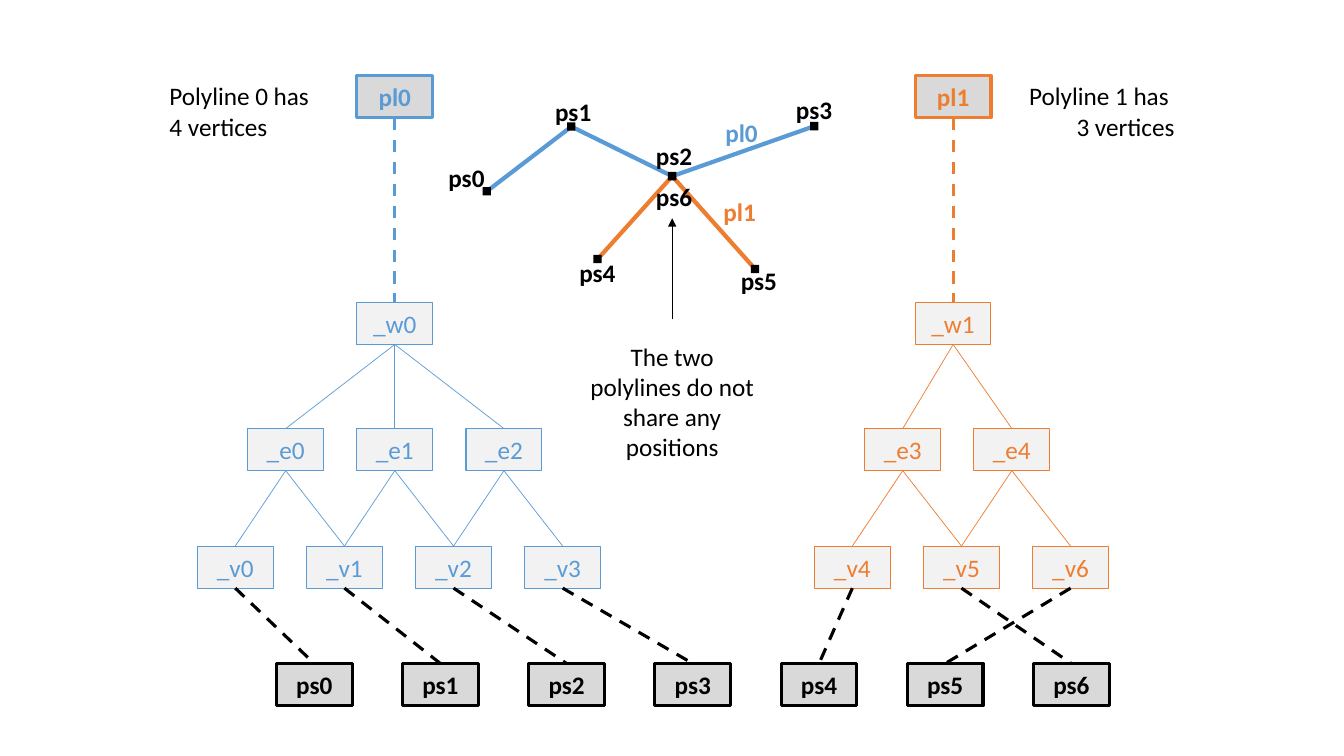
from dataclasses import dataclass

from lxml import etree
from pptx import Presentation
from pptx.dml.color import RGBColor
from pptx.enum.dml import MSO_LINE
from pptx.enum.shapes import MSO_CONNECTOR, MSO_SHAPE
from pptx.enum.text import MSO_ANCHOR, PP_ALIGN
from pptx.oxml.ns import qn
from pptx.util import Cm, Pt

RECTANGLE = MSO_SHAPE.RECTANGLE
STRAIGHT = MSO_CONNECTOR.STRAIGHT
DASH = MSO_LINE.DASH
MIDDLE = MSO_ANCHOR.MIDDLE
LEFT, CENTER, RIGHT = PP_ALIGN.LEFT, PP_ALIGN.CENTER, PP_ALIGN.RIGHT
TOP_SIDE, BOTTOM_SIDE = 0, 2


@dataclass(frozen=True)
class Theme:
    blue: RGBColor = RGBColor(0x5B, 0x9B, 0xD5)
    orange: RGBColor = RGBColor(0xED, 0x7D, 0x31)
    black: RGBColor = RGBColor(0, 0, 0)
    strong_fill: RGBColor = RGBColor(0xD9, 0xD9, 0xD9)
    light_fill: RGBColor = RGBColor(0xF2, 0xF2, 0xF2)
    font: str = "Calibri"
    size: Pt = Pt(18)
    polyline: Pt = Pt(3)
    strong: Pt = Pt(2.25)
    border: Pt = Pt(0.75)
    thin: Pt = Pt(0.5)


theme = Theme()

presentation = Presentation()
presentation.slide_width = Cm(33.87)
presentation.slide_height = Cm(19.05)
slide = presentation.slides.add_slide(presentation.slide_layouts[6])
shapes = slide.shapes


def write(shape, text, color, bold=False, align=LEFT, wrap=True):
    frame = shape.text_frame
    frame.text = text
    frame.word_wrap = wrap
    for paragraph in frame.paragraphs:
        paragraph.alignment = align
        for run in paragraph.runs:
            run.font.name = theme.font
            run.font.size = theme.size
            run.font.bold = bold
            run.font.color.rgb = color


def draw_line(start, end, color, width, dash=None):
    line = shapes.add_connector(STRAIGHT, Cm(start[0]), Cm(start[1]), Cm(end[0]), Cm(end[1]))
    line.line.color.rgb = color
    line.line.width = width
    if dash:
        line.line.dash_style = dash
    etree.SubElement(line._element.spPr, qn("a:effectLst"))
    return line


node_width, node_height = 1.91, 1.06
sibling_gap, position_gap = 2.75, 3.18
rows = [
    ("pl", 0, 1, 9.95, 1.91, theme.blue, True),
    ("pl", 1, 1, 24.02, 1.91, theme.orange, True),
    ("_w", 0, 1, 9.95, 7.62, theme.blue, False),
    ("_w", 1, 1, 24.02, 7.62, theme.orange, False),
    ("_e", 0, 3, 7.2, 10.8, theme.blue, False),
    ("_e", 3, 2, 22.75, 10.8, theme.orange, False),
    ("_v", 0, 4, 5.93, 13.76, theme.blue, False),
    ("_v", 4, 3, 21.48, 13.76, theme.orange, False),
    ("ps", 0, 7, 7.92, 16.72, theme.black, True),
]
nodes = {}
for prefix, first, count, first_center, top, color, strong in rows:
    gap = position_gap if prefix == "ps" else sibling_gap
    for index in range(count):
        left = first_center + index * gap - node_width / 2
        node = shapes.add_shape(RECTANGLE, Cm(left), Cm(top), Cm(node_width), Cm(node_height))
        node.shadow.inherit = False
        node.fill.solid()
        node.fill.fore_color.rgb = theme.strong_fill if strong else theme.light_fill
        node.line.color.rgb = color
        node.line.width = theme.strong if strong else theme.border
        node.text_frame.vertical_anchor = MIDDLE
        name = f"{prefix}{first + index}"
        write(node, name, color, strong, CENTER)
        nodes[name] = node

links = []
for wire, color, edges in [(0, theme.blue, range(3)), (1, theme.orange, range(3, 5))]:
    links.append((f"pl{wire}", f"_w{wire}", color, theme.strong, DASH))
    for edge in edges:
        links.append((f"_w{wire}", f"_e{edge}", color, theme.thin, None))
        for vertex in (edge + wire, edge + wire + 1):
            links.append((f"_e{edge}", f"_v{vertex}", color, theme.thin, None))
for vertex, position in enumerate([0, 1, 2, 3, 4, 6, 5]):
    links.append((f"_v{vertex}", f"ps{position}", theme.black, theme.strong, DASH))
for parent, child, color, width, dash in links:
    link = draw_line((0, 0), (1, 1), color, width, dash)
    link.begin_connect(nodes[parent], BOTTOM_SIDE)
    link.end_connect(nodes[child], TOP_SIDE)

crossing = (16.94, 4.44)
points = [(12.27, 4.82), (14.4, 3.19), crossing, (20.52, 3.18), (15.06, 6.53), (19.03, 6.78)]
polylines = [(points[:4], theme.blue), ([points[4], crossing, points[5]], theme.orange)]
for vertices, color in polylines:
    for start, end in zip(vertices, vertices[1:]):
        draw_line(start, end, color, theme.polyline)

marker_size = 0.21
for x, y in points:
    marker = shapes.add_shape(
        RECTANGLE, Cm(x - marker_size / 2), Cm(y - marker_size / 2), Cm(marker_size), Cm(marker_size)
    )
    marker.shadow.inherit = False
    marker.fill.solid()
    marker.fill.fore_color.rgb = theme.black
    marker.line.fill.background()

point_labels = [
    ("ps0", 11.05, 3.96, theme.black),
    ("ps1", 13.74, 2.31, theme.black),
    ("ps2", 16.28, 3.4, theme.black),
    ("ps3", 19.81, 2.24, theme.black),
    ("ps4", 14.35, 6.35, theme.black),
    ("ps5", 18.42, 6.55, theme.black),
    ("ps6", 16.28, 4.45, theme.black),
    ("pl0", 18.03, 2.84, theme.blue),
    ("pl1", 17.98, 4.83, theme.orange),
]
for text, left, top, color in point_labels:
    label = shapes.add_textbox(Cm(left), Cm(top), Cm(1.42), Cm(1.02))
    write(label, text, color, bold=True, wrap=False)

remarks = [
    ("Polyline 0 has \v4 vertices", 4.02, 1.91, 4.87, 1.8, LEFT),
    ("Polyline 1 has \v3 vertices", 24.98, 1.91, 4.87, 1.8, RIGHT),
    ("The two polylines do not share any positions", 14.61, 8.47, 4.66, 3.33, CENTER),
]
for text, left, top, width, height, align in remarks:
    remark = shapes.add_textbox(Cm(left), Cm(top), Cm(width), Cm(height))
    write(remark, text, theme.black, align=align)

pointer = draw_line((16.94, 8.05), (16.94, 5.5), theme.black, theme.thin)
etree.SubElement(pointer._element.spPr.find(qn("a:ln")), qn("a:tailEnd"), type="triangle")

presentation.save("out.pptx")
